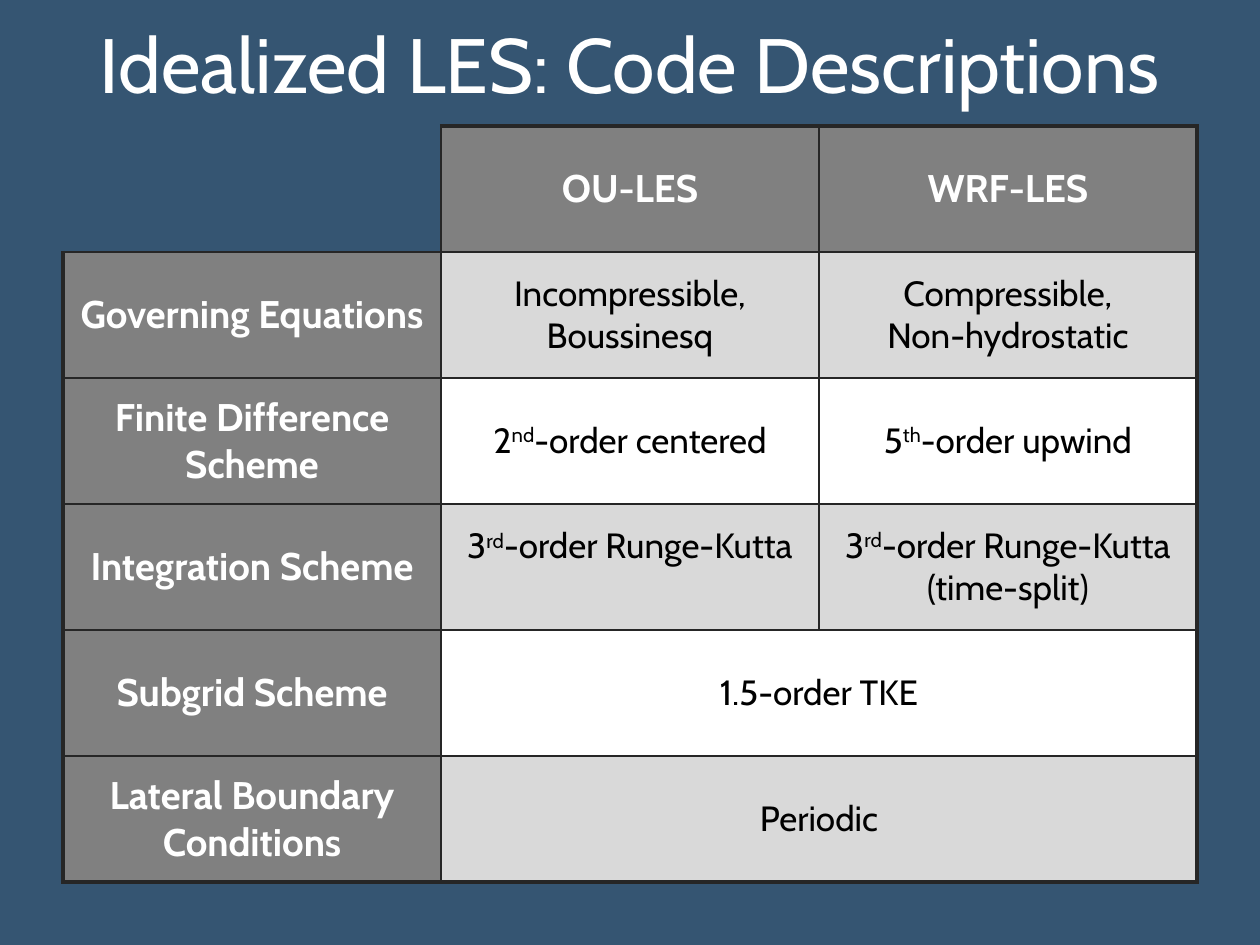
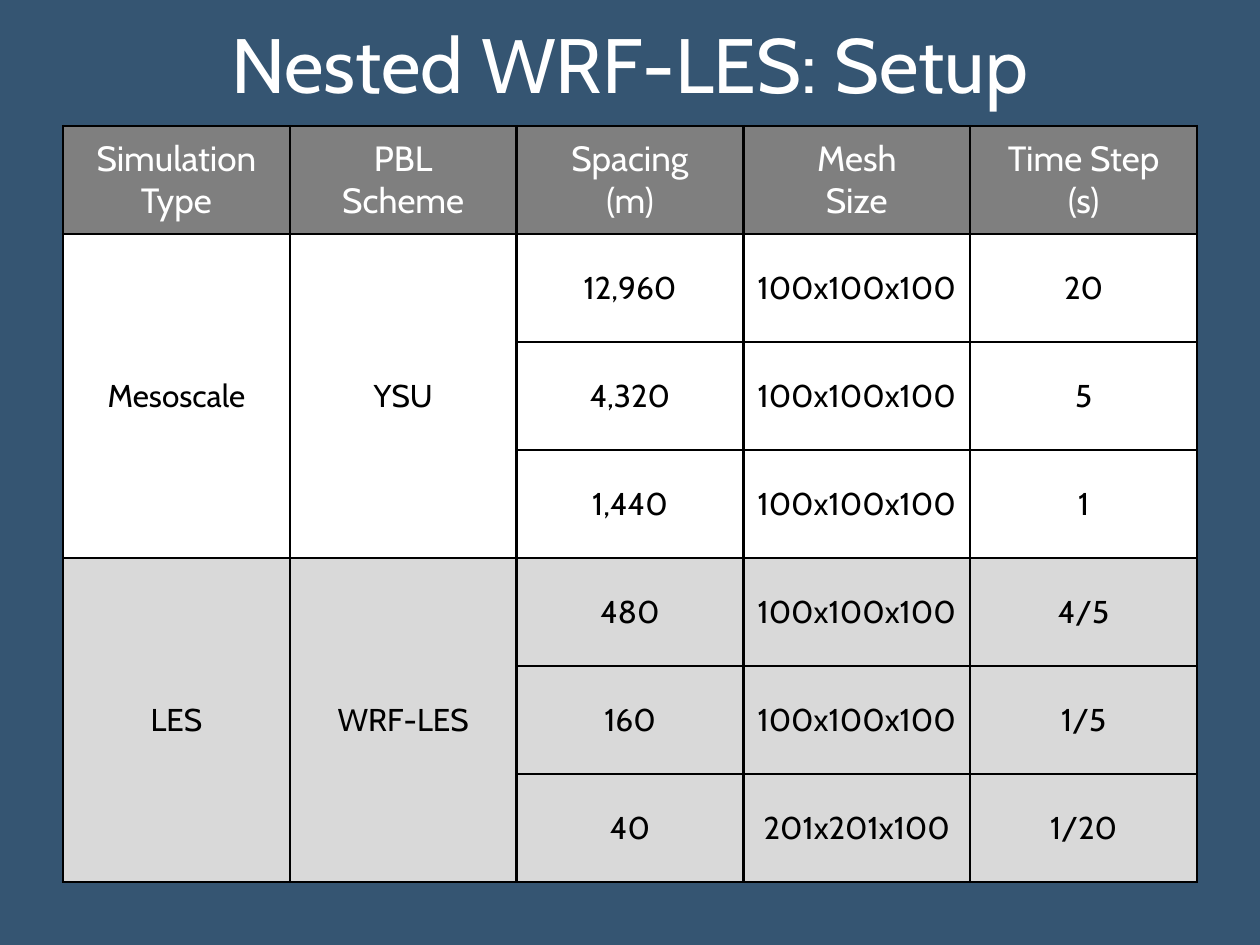
from lxml.etree import SubElement
from pptx import Presentation
from pptx.dml.color import RGBColor as Color
from pptx.enum.text import MSO_ANCHOR as Anchor, PP_ALIGN as Align
from pptx.oxml.ns import qn
from pptx.util import Inches, Pt

HUES = {
    "back": "355572",
    "white": "FFFFFF",
    "black": "000000",
    "edge": "262626",
    "head": "808080",
    "top": "7F7F7F",
    "band": "D9D9D9",
}
FONT = "Cabin"
THIN, THICK = 1.5, 2.25

CODES = [
    ["", "OU-LES", "WRF-LES"],
    ["Governing Equations", "Incompressible, Boussinesq", "Compressible,\nNon-hydrostatic"],
    ["Finite Difference Scheme", "2^nd^-order centered", "5^th^-order upwind"],
    ["Integration Scheme", "3^rd^-order Runge-Kutta", "3^rd^-order Runge-Kutta (time-split)"],
    ["Subgrid Scheme", "1.5-order TKE", ""],
    ["Lateral Boundary Conditions", "Periodic", ""],
]
MESH = "100x100x100"
SETUP = [
    ["Simulation Type", "PBL\nScheme", "Spacing\n(m)", "Mesh\nSize", "Time Step\n(s)"],
    ["Mesoscale", "YSU", "12,960", MESH, "20"],
    ["", "", "4,320", MESH, "5"],
    ["", "", "1,440", MESH, "1"],
    ["LES", "WRF-LES", "480", MESH, "4/5"],
    ["", "", "160", MESH, "1/5"],
    ["", "", "40", "201x201x100", "1/20"],
]


def hue(name):
    return Color.from_string(HUES[name])


def write(frame, text, size, tint, bold=False):
    frame.text = text
    for para in frame.paragraphs:
        parts = para.text.split("^")
        para.text = parts[0]
        for part in parts[1:]:
            para.add_run().text = part
        para.alignment = Align.CENTER
        for i, run in enumerate(para.runs):
            font = run.font
            font.name, font.size, font.bold = FONT, Pt(size), bold
            font.color.rgb = hue(tint)
            if i % 2:
                run._r.get_or_add_rPr().set("baseline", "30000")


def add_page(deck, title):
    page = deck.slides.add_slide(deck.slide_layouts[5])
    head = page.shapes.title
    head.left, head.top = Inches(0), Inches(0)
    head.width, head.height = Inches(10), Inches(1)
    head.text_frame.vertical_anchor = Anchor.MIDDLE
    write(head.text_frame, title, 44, "white")
    return page


def rule(cell, tint, widths):
    props = cell._tc.get_or_add_tcPr()
    for side, width in zip("LRTB", widths):
        line = SubElement(props, qn(f"a:ln{side}"), w=str(Pt(width)))
        if width:
            fill = SubElement(line, qn("a:solidFill"))
            SubElement(fill, qn("a:srgbClr"), val=HUES[tint])
        else:
            SubElement(line, qn("a:noFill"))


def add_grid(page, rows, spans, style, edge, outer):
    high, wide = len(rows), len(rows[0])
    grid = page.shapes.add_table(
        high, wide, Inches(0.5), Inches(1), Inches(9), Inches(6)
    ).table
    grid.first_row = grid.horz_banding = False
    for col in grid.columns:
        col.width = Inches(9 / wide)
    for row in grid.rows:
        row.height = Inches(6 / high)
    for first, last in spans:
        grid.cell(*first).merge(grid.cell(*last))
    for r, row in enumerate(rows):
        for c, text in enumerate(row):
            cell = grid.cell(r, c)
            blank = not text and not cell.is_spanned
            ends = (
                c == 0,
                c + cell.span_width == wide,
                r == 0,
                r + cell.span_height == high,
            )
            rim = 0 if blank else outer
            rule(cell, edge, [rim if end else THIN for end in ends])
            if blank:
                cell.fill.background()
                continue
            fill, *look = style(r, c)
            cell.fill.solid()
            cell.fill.fore_color.rgb = hue(fill)
            cell.vertical_anchor = Anchor.MIDDLE
            if text:
                write(cell.text_frame, text, *look)
    return grid


def code_style(r, c):
    if r == 0 or c == 0:
        return "head", 22, "white", True
    return "band" if r % 2 else "white", 20, "black"


def setup_style(r, c):
    if r == 0:
        return "top", 20, "white"
    return "white" if r < 4 else "band", 18, "black"


def main():
    deck = Presentation()
    deck.slide_width, deck.slide_height = Inches(10), Inches(7.5)
    back = deck.slide_master.background.fill
    back.solid()
    back.fore_color.rgb = hue("back")

    page = add_page(deck, "Idealized LES: Code Descriptions")
    spans = [((r, 1), (r, 2)) for r in (4, 5)]
    grid = add_grid(page, CODES, spans, code_style, "edge", THICK)
    grid.cell(3, 1).margin_bottom = Inches(0.38)

    page = add_page(deck, "Nested WRF-LES: Setup")
    spans = [((r, c), (r + 2, c)) for r in (1, 4) for c in (0, 1)]
    add_grid(page, SETUP, spans, setup_style, "black", THIN)

    deck.save("out.pptx")


if __name__ == "__main__":
    main()
